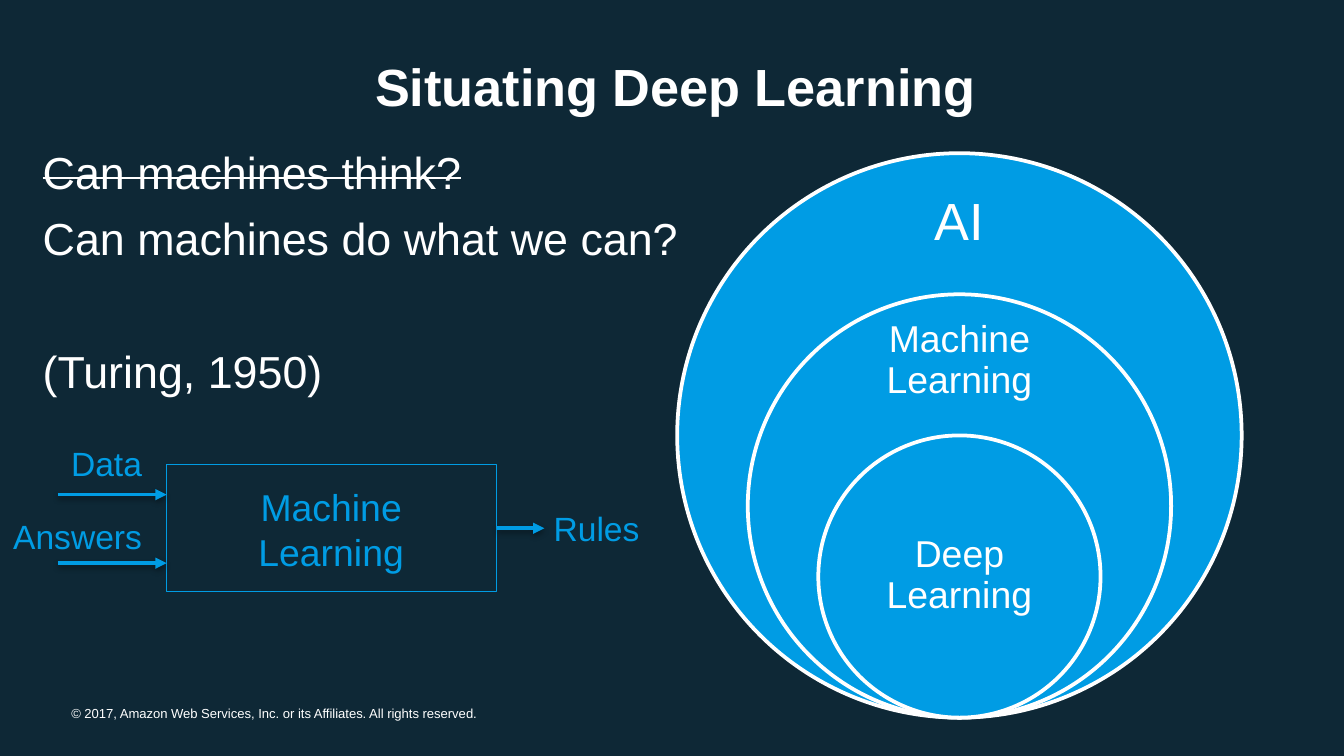
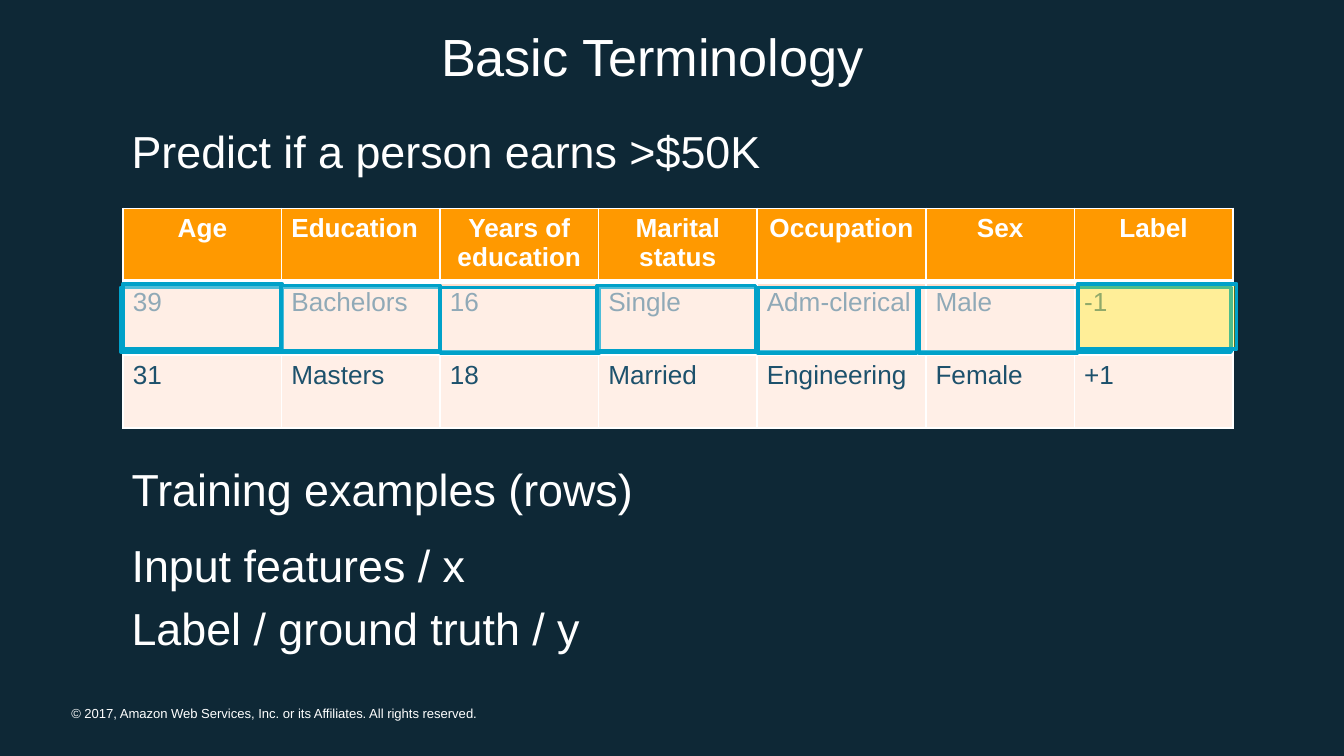
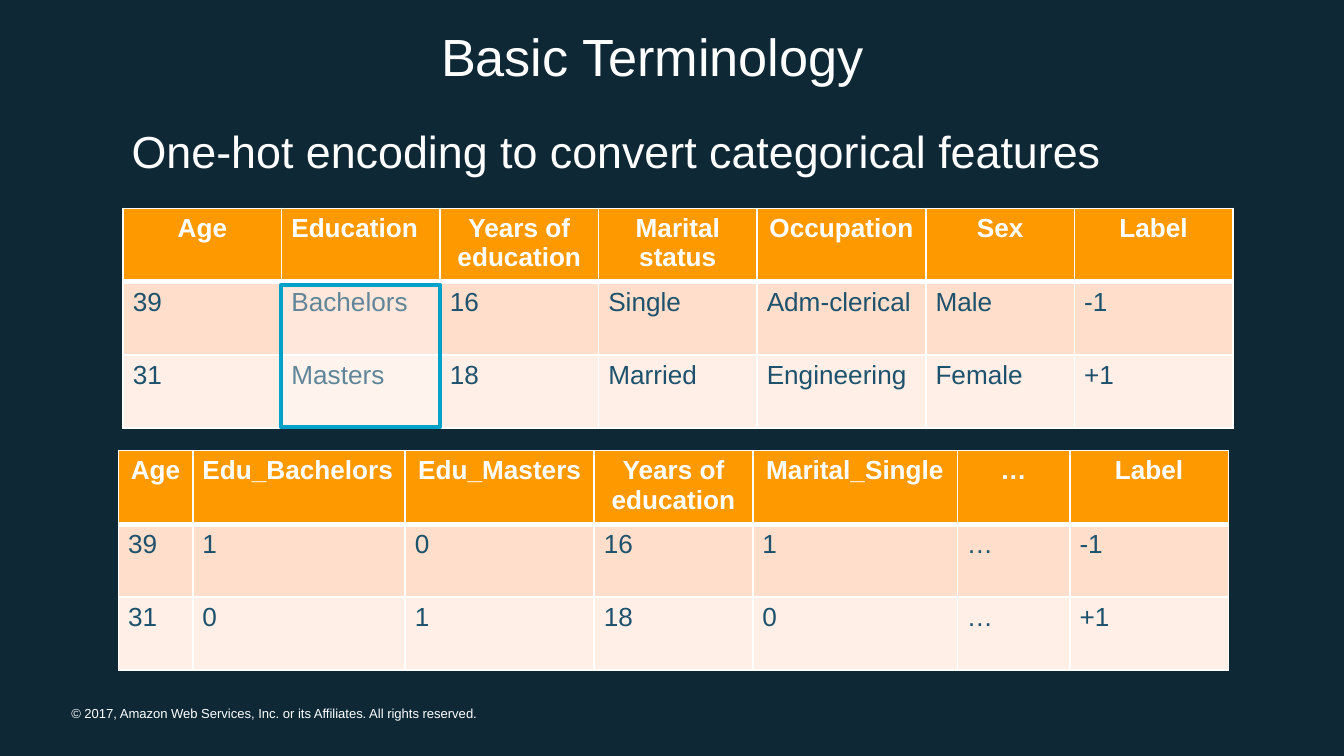
from lxml import etree
from pptx import Presentation
from pptx.dml.color import RGBColor
from pptx.enum.shapes import MSO_CONNECTOR, MSO_SHAPE
from pptx.enum.text import MSO_ANCHOR, PP_ALIGN
from pptx.oxml import parse_xml
from pptx.oxml.ns import nsdecls, qn
from pptx.util import Pt

RECTANGLE, OVAL = MSO_SHAPE.RECTANGLE, MSO_SHAPE.OVAL
STRAIGHT = MSO_CONNECTOR.STRAIGHT
LEFT, CENTER = PP_ALIGN.LEFT, PP_ALIGN.CENTER
TOP, MIDDLE = MSO_ANCHOR.TOP, MSO_ANCHOR.MIDDLE

NAVY = RGBColor(0x0E, 0x28, 0x36)
WHITE = RGBColor(0xFF, 0xFF, 0xFF)
BLUE = RGBColor(0x00, 0x9C, 0xE4)
TEAL = RGBColor(0x00, 0xA1, 0xC9)
ORANGE = RGBColor(0xFF, 0x99, 0x00)
PEACH = RGBColor(0xFF, 0xDE, 0xCC)
PALE_PEACH = RGBColor(0xFF, 0xEF, 0xE7)
INK = RGBColor(0x1D, 0x51, 0x6C)
YELLOW = RGBColor(0xFF, 0xFF, 0x00)

FONT = "Arial"
COPYRIGHT = "© 2017, Amazon Web Services, Inc. or its Affiliates. All rights reserved."
ROW_HEIGHT = 39.1
CELL_MARGINS = (5.2, 2.9, 5.2, 2.9)
CELL_WIDTH, CELL_HEIGHT = 85, 35.2
LINE_PITCH = 35.6

PEOPLE = [
    ["Age", "Education", "Years of education", "Marital status", "Occupation", "Sex", "Label"],
    ["39", "Bachelors", "16", "Single", "Adm-clerical", "Male", "-1"],
    ["31", "Masters", "18", "Married", "Engineering", "Female", "+1"],
]
PEOPLE_WIDTHS = [84.9, 84.9, 84.9, 84.9, 90.4, 79.6, 84.9]
ENCODED = [
    ["Age", "Edu_Bachelors", "Edu_Masters", "Years of education", "Marital_Single", "…", "Label"],
    ["39", "1", "0", "16", "1", "…", "-1"],
    ["31", "0", "1", "18", "0", "…", "+1"],
]
ENCODED_WIDTHS = [39.9, 113.8, 101.3, 84.9, 109.6, 60.3, 84.9]
FEATURE_CORNERS = [(66, 152), (150.6, 153), (236, 154), (319.8, 153), (406, 154), (492.2, 154)]


def add_run(paragraph, text, size, color, bold=False, strike=False):
    """Append one formatted run."""
    run = paragraph.add_run()
    run.text = text
    run.font.name = FONT
    run.font.size = Pt(size)
    run.font.bold = bold
    run.font.color.rgb = color
    if strike:
        run.font._element.set("strike", "sngStrike")


def set_margins(target, margins):
    """Set left, top, right and bottom margins of a frame or cell."""
    target.margin_left, target.margin_top, target.margin_right, target.margin_bottom = map(Pt, margins)


def add_text(slide, box, text, size, color=WHITE, align=LEFT, anchor=TOP,
             bold=False, margins=(7.2, 3.6, 7.2, 3.6), spacing=None, wrap=True):
    """Add a text box with a single paragraph."""
    frame = slide.shapes.add_textbox(*map(Pt, box)).text_frame
    frame.word_wrap = wrap
    frame.vertical_anchor = anchor
    set_margins(frame, margins)
    paragraph = frame.paragraphs[0]
    paragraph.alignment = align
    paragraph.line_spacing = spacing
    add_run(paragraph, text, size, color, bold)


def add_box(slide, kind, box, fill, line=None, width=2.0, opacity=None):
    """Add a filled shape with an optional outline and opacity percentage."""
    shape = slide.shapes.add_shape(kind, *map(Pt, box))
    shape.shadow.inherit = False
    shape.fill.solid()
    shape.fill.fore_color.rgb = fill
    if opacity is not None:
        color = shape._element.spPr.find(qn("a:solidFill"))[0]
        etree.SubElement(color, qn("a:alpha"), val=str(opacity * 1000))
    if line is None:
        shape.line.fill.background()
    else:
        shape.line.color.rgb = line
        shape.line.width = Pt(width)


def add_arrow(slide, start, end, y):
    """Add a horizontal blue arrow with a soft shadow."""
    connector = slide.shapes.add_connector(STRAIGHT, Pt(start), Pt(y), Pt(end), Pt(y))
    connector.line.color.rgb = BLUE
    connector.line.width = Pt(2)
    properties = connector._element.spPr
    etree.SubElement(properties.find(qn("a:ln")), qn("a:tailEnd"), type="triangle")
    properties.append(parse_xml(
        f'<a:effectLst {nsdecls("a")}><a:outerShdw blurRad="39370" dist="20320" dir="5400000" '
        'rotWithShape="0"><a:srgbClr val="000000"><a:alpha val="38000"/></a:srgbClr>'
        '</a:outerShdw></a:effectLst>'))


def add_border(cell, side, width):
    """Draw one white cell border; side is L, R, T or B."""
    cell._tc.get_or_add_tcPr().append(parse_xml(
        f'<a:ln{side} {nsdecls("a")} w="{Pt(width)}"><a:solidFill>'
        f'<a:srgbClr val="{WHITE}"/></a:solidFill></a:ln{side}>'))


def add_data_table(slide, left, top, rows, widths):
    """Add a table with an orange header and peach rows."""
    frame = slide.shapes.add_table(len(rows), len(widths), Pt(left), Pt(top),
                                   Pt(sum(widths)), Pt(ROW_HEIGHT * len(rows)))
    table = frame.table
    for column, width in zip(table.columns, widths):
        column.width = Pt(width)
    for row_index, (values, fill) in enumerate(zip(rows, (ORANGE, PEACH, PALE_PEACH))):
        table.rows[row_index].height = Pt(ROW_HEIGHT)
        header = row_index == 0
        for column_index, value in enumerate(values):
            cell = table.cell(row_index, column_index)
            set_margins(cell, CELL_MARGINS)
            for side, width in zip("LRTB", (1, 1, 3 if row_index == 1 else 1, 3 if header else 1)):
                add_border(cell, side, width)
            cell.fill.solid()
            cell.fill.fore_color.rgb = fill
            paragraph = cell.text_frame.paragraphs[0]
            paragraph.alignment = CENTER if header and column_index != 1 else LEFT
            add_run(paragraph, value, 14, WHITE if header else INK, header)


def add_highlight(slide, left, top, width=CELL_WIDTH, height=CELL_HEIGHT, fill=WHITE):
    """Add a translucent frame over table cells."""
    add_box(slide, RECTANGLE, (left, top, width, height), fill, TEAL, opacity=30)


def add_statement(slide, top, text):
    """Add a large line of text at the table's left edge."""
    add_text(slide, (63.4, top, 600, 36), text, 24)


def add_base_slide(presentation):
    """Add a dark slide with the copyright footer."""
    slide = presentation.slides.add_slide(presentation.slide_layouts[6])
    slide.background.fill.solid()
    slide.background.fill.fore_color.rgb = NAVY
    add_text(slide, (38.2, 378, 238.3, 8.6), COPYRIGHT, 7, margins=(0, 0, 0, 0))
    return slide


def add_terminology_slide(presentation, statement):
    """Add a slide with the shared title, statement and people table."""
    slide = add_base_slide(presentation)
    add_text(slide, (26.6, 9.4, 645.8, 67.7), "Basic Terminology", 28, align=CENTER)
    add_data_table(slide, 66, 111.6, PEOPLE, PEOPLE_WIDTHS)
    add_statement(slide, 62.6, statement)
    return slide


def add_turing_question(slide):
    """Add the struck question, its replacement and the citation."""
    frame = slide.shapes.add_textbox(Pt(15.8), Pt(59.8), Pt(356.4), Pt(164.2)).text_frame
    frame.word_wrap = True
    frame.vertical_anchor = MIDDLE
    lines = [("Can machines think?", 0, True),
             ("Can machines do what we can?", 0, False),
             ("(Turing, 1950)", LINE_PITCH, False)]
    for index, (text, gap, strike) in enumerate(lines):
        paragraph = frame.add_paragraph() if index else frame.paragraphs[0]
        paragraph.line_spacing = Pt(LINE_PITCH)
        paragraph.space_before = Pt(gap)
        add_run(paragraph, text, 24, WHITE, strike=strike)


def add_nested_circles(slide):
    """Add circles that share a centre line and a bottom point."""
    center, bottom, diameter = 514, 384.5, 302.4
    circles = [(1, "AI", 28, 97.2, 45.4, 15.8),
               (0.75, "Machine Learning", 20, 172, 42.5, 11.5),
               (0.5, "Deep Learning", 20, 270.7, 75.6, 11.5)]
    for scale, label, size, top, height, inset in circles:
        side = diameter * scale
        add_box(slide, OVAL, (center - side / 2, bottom - side, side, side), BLUE, WHITE)
        add_text(slide, (center - 53, top, 106, height), label, size, align=CENTER,
                 anchor=MIDDLE, margins=(inset,) * 4, spacing=0.9)


def add_learning_flow(slide):
    """Add the data and answers to rules diagram."""
    add_box(slide, RECTANGLE, (89.3, 249, 176.6, 68), NAVY, BLUE, 0.75)
    add_text(slide, (98.6, 255.6, 157.7, 55.4), "Machine Learning", 20, BLUE, CENTER, MIDDLE)
    for start, end, y in [(31, 89.3, 265), (31, 89.3, 301.7), (266.2, 291.6, 283)]:
        add_arrow(slide, start, end, y)
    for label, left, top, width in [("Data", 31, 233.5, 52.6), ("Answers", 0, 273, 84.2),
                                    ("Rules", 289.5, 268.6, 61.2)]:
        add_text(slide, (left, top, width, 29), label, 18, BLUE, wrap=False)


def build_situating_slide(presentation):
    """Build the slide that places deep learning within AI."""
    slide = add_base_slide(presentation)
    add_text(slide, (26.6, 9.4, 670.3, 72.7), "Situating Deep Learning", 28,
             align=CENTER, anchor=MIDDLE, bold=True)
    add_nested_circles(slide)
    add_turing_question(slide)
    add_learning_flow(slide)


def build_terms_slide(presentation):
    """Build the slide that names rows, features and label."""
    slide = add_terminology_slide(presentation, "Predict if a person earns >$50K")
    add_highlight(slide, 64.8, 154, 594.7, 34.6)
    for left, top in FEATURE_CORNERS:
        add_highlight(slide, left, top)
    add_highlight(slide, 577.4, 152, fill=YELLOW)
    for top, text in [(244, "Training examples (rows)"), (284.4, "Input features / x"),
                      (318.2, "Label / ground truth / y")]:
        add_statement(slide, top, text)


def build_encoding_slide(presentation):
    """Build the slide that shows one-hot encoding."""
    slide = add_terminology_slide(presentation, "One-hot encoding to convert categorical features")
    add_highlight(slide, 150.6, 152.6, height=76.3)
    add_data_table(slide, 63.4, 241.4, ENCODED, ENCODED_WIDTHS)


def main():
    """Build and save the presentation."""
    presentation = Presentation()
    presentation.slide_width, presentation.slide_height = Pt(720), Pt(405)
    build_situating_slide(presentation)
    build_terms_slide(presentation)
    build_encoding_slide(presentation)
    presentation.save("out.pptx")


if __name__ == "__main__":
    main()
